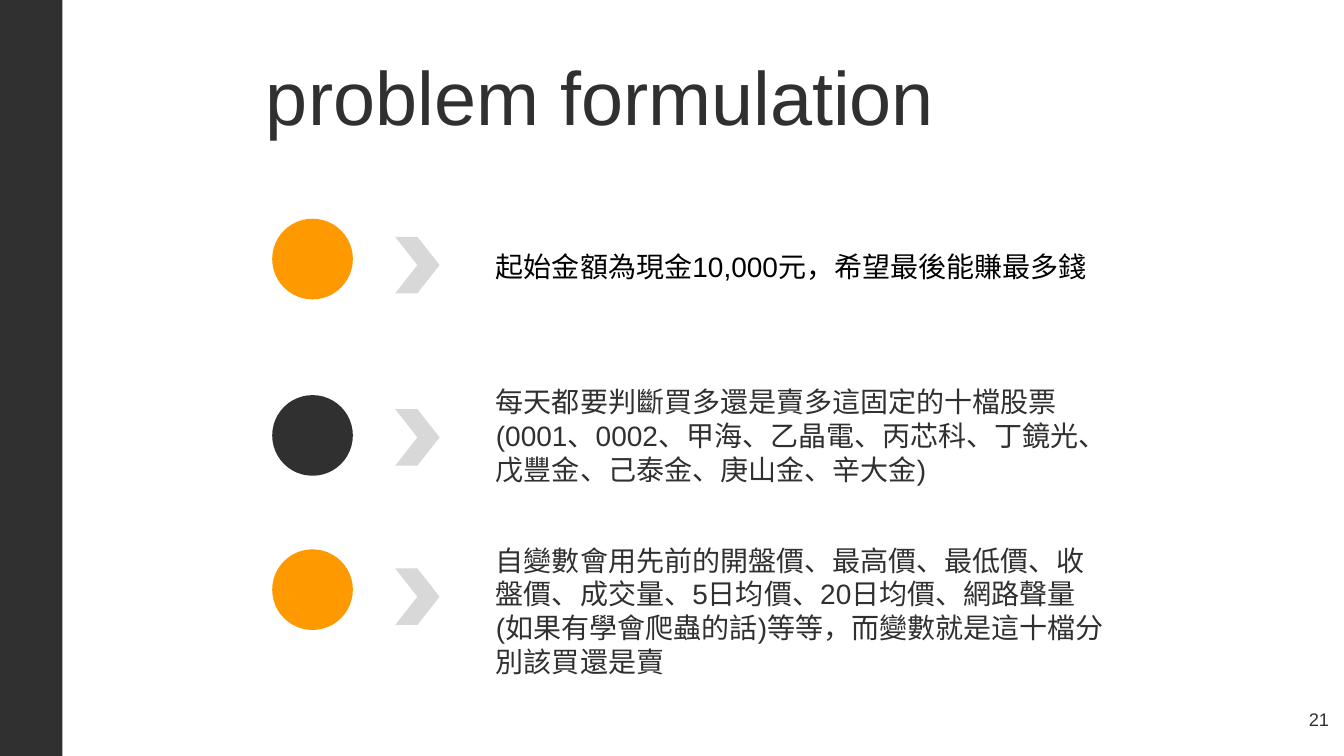
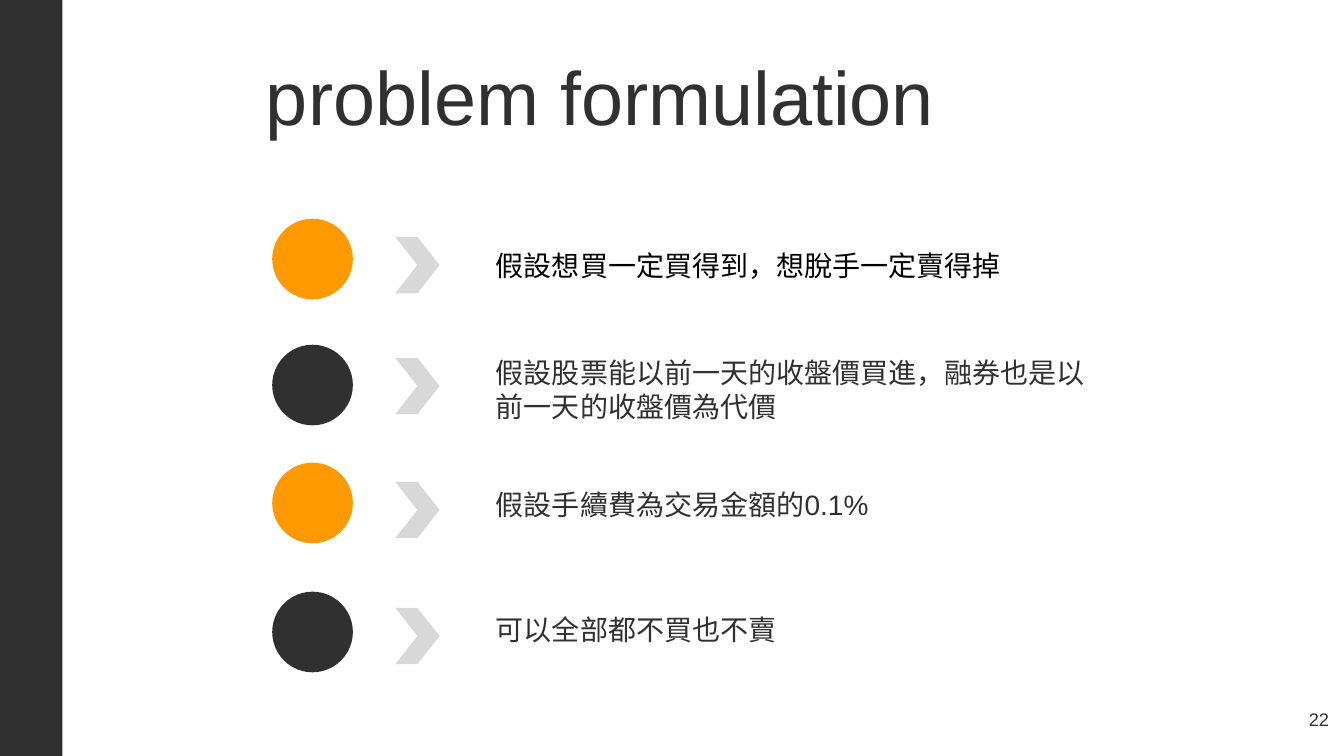
from pptx import Presentation
from pptx.dml.color import RGBColor
from pptx.enum.shapes import MSO_SHAPE
from pptx.enum.text import MSO_ANCHOR, PP_ALIGN
from pptx.util import Inches, Pt

FONT = "Arial"
DARK, ORANGE, GREY, BLACK = "303030", "FE9900", "D8D8D8", "000000"
TITLE = "problem formulation"

# Each row: top of circle, top of chevron, top of text, text
SLIDES = [
    (21, [
        (2.17, 2.35, 2.43, "起始金額為現金10,000元，希望最後能賺最多錢"),
        (3.92, 4.06, 3.77, "每天都要判斷買多還是賣多這固定的十檔股票"
                           "(0001、0002、甲海、乙晶電、丙芯科、丁鏡光、"
                           "戊豐金、己泰金、庚山金、辛大金)"),
        (5.45, 5.64, 5.34, "自變數會用先前的開盤價、最高價、最低價、收盤價、"
                           "成交量、5日均價、20日均價、網路聲量"
                           "(如果有學會爬蟲的話)等等，"
                           "而變數就是這十檔分別該買還是賣"),
    ]),
    (22, [
        (2.17, 2.35, 2.42, "假設想買一定買得到，想脫手一定賣得掉"),
        (3.42, 3.55, 3.48, "假設股票能以前一天的收盤價買進，"
                           "融券也是以前一天的收盤價為代價"),
        (4.59, 4.78, 4.79, "假設手續費為交易金額的0.1%"),
        (5.87, 6.03, 6.03, "可以全部都不買也不賣"),
    ]),
]


def rgb(color):
    return RGBColor.from_string(color)


class Deck:
    """Holds the shared style and the current slide."""

    def __init__(self):
        self.prs = Presentation()
        self.prs.slide_width = Inches(13.33)
        self.prs.slide_height = Inches(7.5)
        self.s = None

    def shape(self, kind, x, y, w, h, color):
        sp = self.s.shapes.add_shape(kind, Inches(x), Inches(y), Inches(w), Inches(h))
        sp.shadow.inherit = False
        sp.fill.solid()
        sp.fill.fore_color.rgb = rgb(color)
        sp.line.fill.background()

    def text(self, x, y, w, h, words, size, color=DARK, align=PP_ALIGN.LEFT,
             anchor=MSO_ANCHOR.TOP, inset=0.05, spacing=None):
        box = self.s.shapes.add_textbox(Inches(x), Inches(y), Inches(w), Inches(h))
        tf = box.text_frame
        tf.word_wrap = True
        tf.vertical_anchor = anchor
        tf.margin_left = tf.margin_right = Inches(0.1)
        tf.margin_top = tf.margin_bottom = Inches(inset)
        p = tf.paragraphs[0]
        p.alignment = align
        p.line_spacing = spacing
        r = p.add_run()
        r.text = words
        r.font.name = FONT
        r.font.size = Pt(size)
        r.font.color.rgb = rgb(color)

    def slide(self, title, number):
        """Start a slide with its side band, title and page number."""
        self.s = self.prs.slides.add_slide(self.prs.slide_layouts[6])
        self.shape(MSO_SHAPE.RECTANGLE, 0, 0, 0.62, 7.5, DARK)
        self.text(2.54, 0.61, 10.47, 0.79, title, 54,
                  anchor=MSO_ANCHOR.MIDDLE, spacing=0.9)
        self.text(12.48, 6.93, 0.8, 0.57, str(number), 13,
                  align=PP_ALIGN.RIGHT, inset=0.1)

    def row(self, index, circle_y, chevron_y, text_y, words):
        """Add a circle, a chevron and a statement; circle colours alternate."""
        self.shape(MSO_SHAPE.OVAL, 2.7, circle_y, 0.8, 0.8,
                   DARK if index % 2 else ORANGE)
        self.shape(MSO_SHAPE.CHEVRON, 3.92, chevron_y, 0.44, 0.56, GREY)
        self.text(4.82, text_y, 6.25, 0.3, words, 20, DARK if index else BLACK)


def main():
    deck = Deck()
    for number, rows in SLIDES:
        deck.slide(TITLE, number)
        for index, row in enumerate(rows):
            deck.row(index, *row)
    deck.prs.save("out.pptx")


if __name__ == "__main__":
    main()
